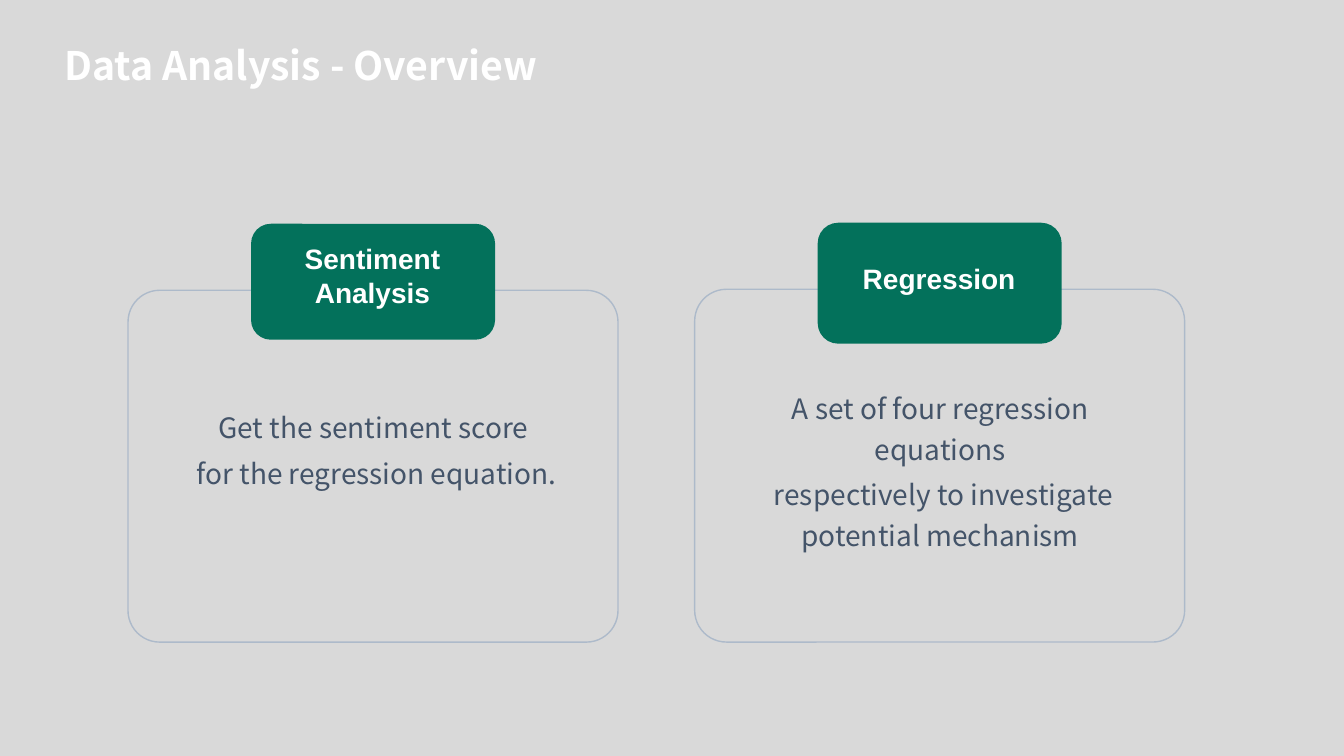
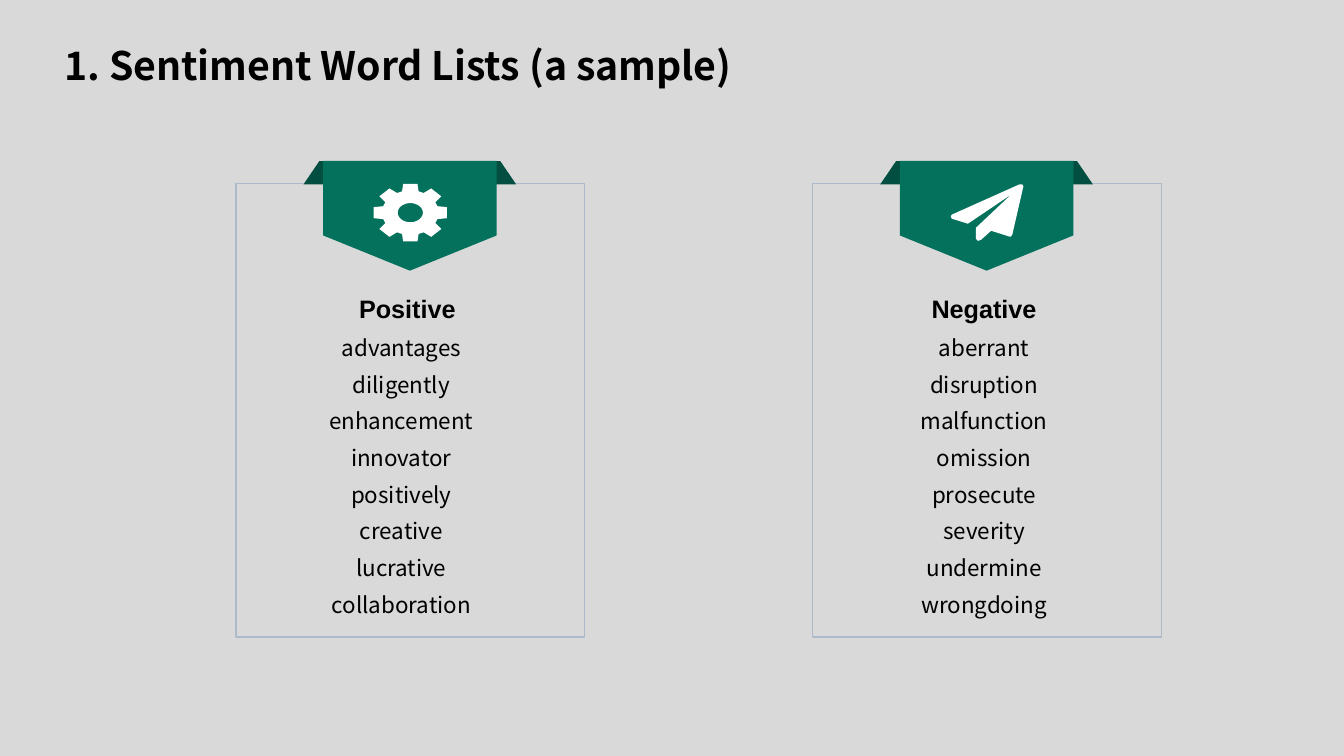
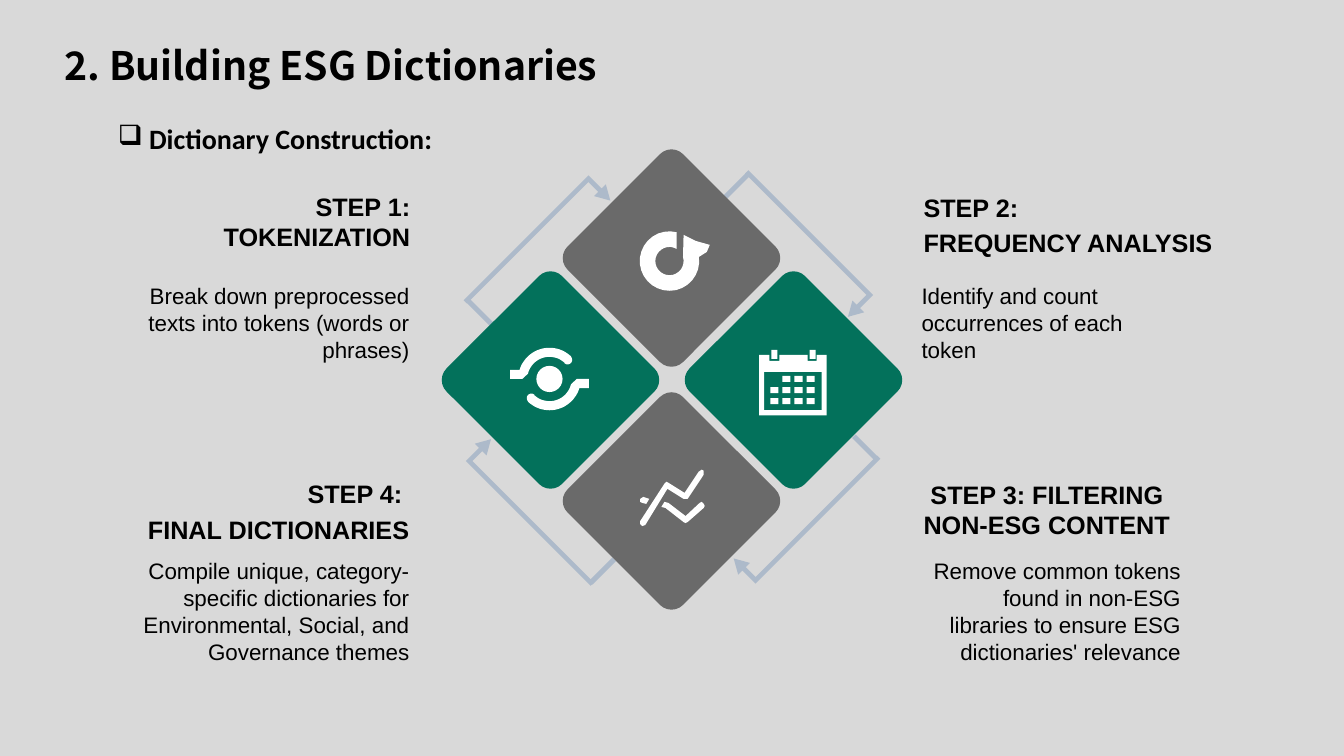
"""Three slides on data analysis: overview, sentiment word lists and ESG dictionaries."""
from math import cos, radians, sin

from lxml import etree
from pptx import Presentation
from pptx.dml.color import RGBColor
from pptx.enum.shapes import MSO_SHAPE
from pptx.enum.text import PP_ALIGN
from pptx.oxml.ns import qn
from pptx.util import Pt

PX = 9144
FINE = 10
GREY = RGBColor(0xD9, 0xD9, 0xD9)
WHITE = RGBColor(0xFF, 0xFF, 0xFF)
BLACK = RGBColor(0x00, 0x00, 0x00)
GREEN = RGBColor(0x03, 0x71, 0x5B)
DARK_GREEN = RGBColor(0x02, 0x4E, 0x40)
BLUE = RGBColor(0xAD, 0xBA, 0xCA)
SLATE = RGBColor(0x44, 0x54, 0x69)
CHARCOAL = RGBColor(0x6A, 0x6A, 0x6A)
SANS = "Noto Sans CJK SC"
LEFT, CENTER, RIGHT = PP_ALIGN.LEFT, PP_ALIGN.CENTER, PP_ALIGN.RIGHT
RECT, ROUND, OVAL = MSO_SHAPE.RECTANGLE, MSO_SHAPE.ROUNDED_RECTANGLE, MSO_SHAPE.OVAL
TRAPEZOID, PENTAGON = MSO_SHAPE.TRAPEZOID, MSO_SHAPE.PENTAGON
BENT_ARROW = MSO_SHAPE.BENT_ARROW


def add_text(s, box, lines, font="Arial", size=16, color=BLACK, bold=False, align=LEFT,
             spacing=None, before=0, inset=True, bullet=None):
    tf = s.shapes.add_textbox(*[v * PX for v in box]).text_frame
    tf.word_wrap = True
    if not inset:
        tf.margin_left = tf.margin_right = tf.margin_top = tf.margin_bottom = 0
    for i, line in enumerate(lines):
        p = tf.add_paragraph() if i else tf.paragraphs[0]
        if bullet:
            pPr = p._p.get_or_add_pPr()
            pPr.set("marL", str(31 * PX))
            pPr.set("indent", str(-31 * PX))
            etree.SubElement(pPr, qn("a:buChar")).set("char", bullet)
        p.alignment = align
        if spacing:
            p.line_spacing = spacing
        if i and before:
            p.space_before = Pt(before)
        r = p.add_run()
        r.text = line
        r.font.name, r.font.size, r.font.bold = font, Pt(size), bold
        r.font.color.rgb = color


def add_box(s, kind, box, fill=None, line=None, adj=(), rotation=0):
    sp = s.shapes.add_shape(kind, *[v * PX for v in box])
    sp.shadow.inherit = False
    sp.rotation = rotation
    for i, value in enumerate(adj):
        sp.adjustments[i] = value
    if fill is None:
        sp.fill.background()
    else:
        sp.fill.solid()
        sp.fill.fore_color.rgb = fill
    if line is None:
        sp.line.fill.background()
    else:
        sp.line.color.rgb = line
        sp.line.width = Pt(1)


prs = Presentation()
prs.slide_width, prs.slide_height = 1333 * PX, 750 * PX
background = prs.slide_master.background.fill
background.solid()
background.fore_color.rgb = GREY

slides = []
for title, width, color in [
    ("Data Analysis - Overview", 515, WHITE),
    ("1. Sentiment Word Lists (a sample)", 727, BLACK),
    ("2. Building ESG Dictionaries", 1011, BLACK),
]:
    s = prs.slides.add_slide(prs.slide_layouts[6])
    add_text(s, (54, 36, width, 57), [title], font=SANS, size=28, color=color, bold=True)
    slides.append(s)
overview, word_lists, dictionaries = slides

for x, y, tab_h, label, label_y, label_h, body, body_box in [
    (127, 288, 115, "Sentiment Analysis", 235, 115,
     ["Get the sentiment score ", "for the regression equation."], (159, 396, 429, 140)),
    (689, 287, 120, "Regression", 255, 44,
     ["A set of four regression equations", " respectively to investigate potential mechanism"],
     (718, 377, 429, 209)),
]:
    add_box(overview, ROUND, (x, y, 486, 637 - y), line=BLUE, adj=[0.09])
    add_box(overview, ROUND, (x + 122, y - 66, 242, tab_h), fill=GREEN, adj=[0.17])
    add_text(overview, (x + 139, label_y, 207, label_h), [label], size=20, color=WHITE,
             bold=True, align=CENTER)
    add_text(overview, body_box, body, font=SANS, size=20, color=SLATE, align=CENTER,
             spacing=1.2, before=4)

for x, list_x, heading, words in [
    (234, 282, "Positive", ["advantages", "diligently", "enhancement", "innovator",
                            "positively", "creative", "lucrative", "collaboration"]),
    (806, 860, "Negative", ["aberrant", "disruption", "malfunction", "omission",
                            "prosecute", "severity", "undermine", "wrongdoing"]),
]:
    add_box(word_lists, RECT, (x, 182, 346, 450), line=BLUE)
    add_box(word_lists, TRAPEZOID, (x + 67, 160, 211, 23), fill=DARK_GREEN, adj=[0.68])
    add_box(word_lists, PENTAGON, (x + 118, 128, 109, 172), fill=GREEN, adj=[0.32], rotation=90)
    add_text(word_lists, (list_x, 326, 232, 295), words, font=SANS, align=CENTER,
             spacing=1.2, before=3.2, inset=False)
    add_text(word_lists, (x + 54, 291, 232, 30), [heading], size=18, bold=True, align=CENTER,
             inset=False)

for x, y, turn, bar_x, bar_y in [
    (519, 155, 45, 459, 307), (517, 415, 315, 581, 564),
    (778, 154, 135, 714, 182), (781, 417, 225, 842, 442),
]:
    add_box(dictionaries, BENT_ARROW, (x, y, 33, 181), fill=BLUE,
            adj=[0.14, 0.25, 0.44, 0], rotation=turn)
    add_box(dictionaries, RECT, (bar_x, bar_y, 33, 5), fill=BLUE, rotation=turn + 180)
for x, y, color in [(706, 296, GREEN), (585, 416, CHARCOAL),
                    (465, 296, GREEN), (585, 175, CHARCOAL)]:
    add_box(dictionaries, ROUND, (x, y, 162, 162), fill=color, adj=[0.1], rotation=45)

for day in range(1, 12):
    row, column = divmod(day, 4)
    add_box(dictionaries, RECT, (764 + 12 * column, 373 + 11 * row, 8, 6), fill=WHITE)
for x in (765, 803):
    add_box(dictionaries, RECT, (x, 347, 6, 9), fill=WHITE)
add_box(dictionaries, OVAL, (532, 363, 26, 26), fill=WHITE)

for box, lines, align in [
    ((916, 191, 300, 67), ["STEP 2:", "FREQUENCY ANALYSIS"], LEFT),
    ((916, 475, 256, 61), [" STEP 3: FILTERING NON-ESG CONTENT"], LEFT),
    ((151, 190, 256, 61), ["STEP 1: TOKENIZATION"], RIGHT),
    ((106, 475, 300, 103), ["STEP 4: ", "FINAL DICTIONARIES"], RIGHT),
]:
    add_text(dictionaries, box, lines, size=18, bold=True, align=align, before=3.6, inset=False)
for box, line, align in [
    ((914, 280, 255, 81), "Identify and count occurrences of each token", LEFT),
    ((916, 553, 255, 108), "Remove common tokens found in non-ESG libraries to ensure ESG "
     "dictionaries' relevance", RIGHT),
    ((106, 280, 300, 81), "Break down preprocessed texts into tokens (words or phrases)", RIGHT),
    ((106, 553, 300, 108), "Compile unique, category-specific dictionaries for Environmental, "
     "Social, and Governance themes", RIGHT),
]:
    add_text(dictionaries, box, [line], align=align, inset=False)
add_text(dictionaries, (107, 116, 381, 44), ["Dictionary Construction:"], font="Calibri",
         size=20, bold=True, bullet="❑")

gear = [(407 + 37 * reach * cos(radians(tooth + turn)), 211 + 29 * reach * sin(radians(tooth + turn)))
        for tooth in range(0, 360, 45)
        for turn, reach in [(-17, 0.76), (-11, 1), (11, 1), (17, 0.76)]]
gear_hole = [(407 + 12.5 * cos(radians(a)), 211 + 9.5 * sin(radians(a))) for a in range(0, 360, 10)]
plane = [(1015, 185), (1004, 233), (1002, 235), (983, 229), (973, 238), (970, 239), (968, 237),
         (968, 226), (1003, 193), (960, 222), (944, 217), (943, 215), (944, 213),
         (1011, 183), (1014, 183)]
calendar = [(820, 352), (810, 352), (810, 358), (801, 358), (801, 352), (773, 352), (773, 358),
            (763, 358), (763, 352), (753, 352), (753, 412), (820, 412)]
calendar_page = [(815, 407), (758, 407), (758, 369), (815, 369)]
trend = [(662, 485), (678, 495), (682, 495), (698, 471), (698, 467), (696, 466), (693, 468),
         (679, 489), (663, 479), (661, 478), (659, 480), (635, 517), (635, 520), (637, 522),
         (640, 521)]
trend_low = [(694, 499), (680, 512), (663, 499), (659, 498), (656, 503), (660, 504), (678, 518),
             (680, 519), (682, 518), (698, 504), (699, 502), (698, 500), (696, 498)]
trend_start = [(637, 499), (641, 500), (644, 495), (638, 493), (635, 495), (635, 498)]
orbit_top = [(506, 376), (506, 367), (515, 367), (545, 376, 31, 197, 314),
             (563, 357, 4.5, 314, 494), (545, 376, 22, 314, 194), (518, 376)]
orbit_bottom = [(584, 376), (584, 385), (575, 385), (545, 376, 31, 17, 134),
                (527, 395, 4.5, 134, 314), (545, 376, 22, 134, 14), (572, 376)]
note = [(664, 259, 29.5, -8, 284), (671, 247), (664, 259, 14, 300, -17), (678, 233),
        (690, 239), (704, 243), (701, 250)]

for s, outlines in [
    (word_lists, [gear, gear_hole]), (word_lists, [plane]),
    (dictionaries, [calendar, calendar_page]), (dictionaries, [trend, trend_low, trend_start]),
    (dictionaries, [orbit_top, orbit_bottom]), (dictionaries, [note]),
]:
    builder = None
    for outline in outlines:
        points = []
        for x, y, *arc in outline:
            if arc:
                radius, start, end = arc
                angles = [radians(start + (end - start) * i / 24) for i in range(25)]
                points += [(x + radius * cos(a), y + radius * sin(a)) for a in angles]
            else:
                points.append((x, y))
        points = [(round(x * FINE), round(y * FINE)) for x, y in points]
        if builder is None:
            builder = s.shapes.build_freeform(*points[0], scale=PX / FINE)
        else:
            builder.move_to(*points[0])
        builder.add_line_segments(points[1:], close=True)
    sp = builder.convert_to_shape()
    sp.shadow.inherit = False
    sp.fill.solid()
    sp.fill.fore_color.rgb = WHITE
    sp.line.fill.background()

prs.save("out.pptx")
